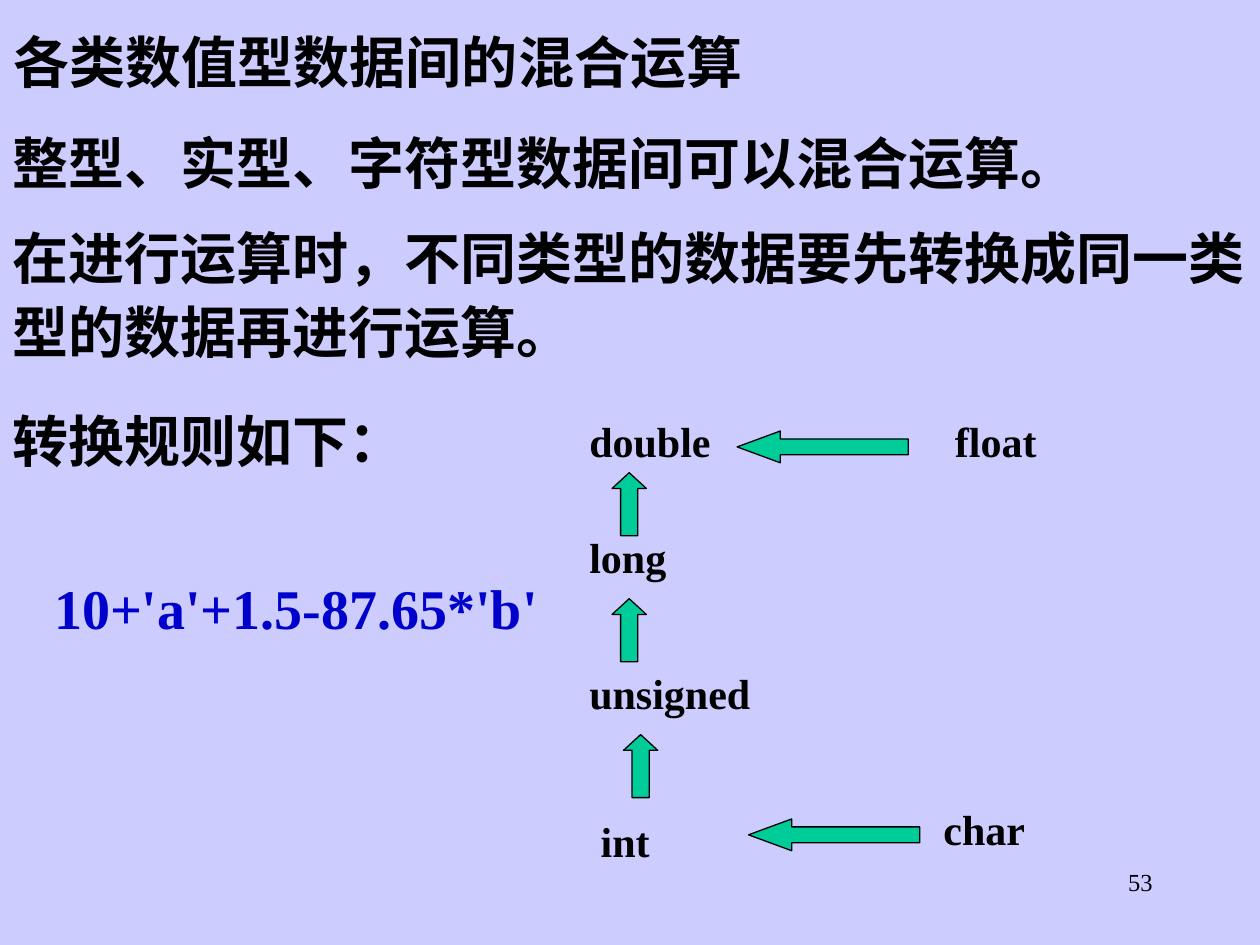
from pptx import Presentation
from pptx.dml.color import RGBColor as RGB
from pptx.enum.shapes import MSO_SHAPE as Geo
from pptx.enum.text import MSO_AUTO_SIZE as Fit, PP_ALIGN as Align
from pptx.util import Cm, Pt

HUES = {"back": "CCCCFF", "ink": "000000", "code": "0000CC", "arrow": "00CC99"}
WIDE, HIGH = 25.4, 19.05

# Formats: font values, and paragraph values
BODY = {"size": Pt(32), "bold": True}
TYPE = {"size": Pt(24), "bold": True}
PAGE = {"size": Pt(14), "bold": False}
LOOSE = {"line_spacing": 1.1}

# Type names: text, left, top, width
TYPES = [
    ("float", 19, 8.26, 3),
    ("double", 11.63, 8.26, 4.37),
    ("long", 11.63, 10.59, 5.28),
    ("unsigned", 11.63, 13.34, 3.91),
    ("int", 11.86, 16.31, 3.68),
    ("char", 18.77, 16.08, 5.99),
]

# Arrow kinds: shape, width, height, head length ratio, places
ARROWS = [
    (Geo.LEFT_ARROW, 3.45, 0.64, 1.36, [(14.86, 8.69), (15.09, 16.51)]),
    (Geo.UP_ARROW, 0.69, 1.27, 0.46,
     [(12.57, 14.81), (12.34, 9.53), (12.34, 12.07)]),
]


def hue(name):
    return RGB.from_string(HUES[name])


def apply(item, form):
    for key, val in form.items():
        setattr(item, key, val)


def add_text(shapes, lines, area, font, para=None, color="ink",
             fit=Fit.SHAPE_TO_FIT_TEXT):
    frame = shapes.add_textbox(*map(Cm, area)).text_frame
    apply(frame, {"word_wrap": True, "auto_size": fit})
    for n, line in enumerate(lines):
        par = frame.add_paragraph() if n else frame.paragraphs[0]
        apply(par, para or {})
        if n:
            par.space_before = Pt(20)
        run = par.add_run()
        run.text = line
        apply(run.font, {"name": "Times New Roman", **font})
        run.font.color.rgb = hue(color)


def add_arrow(shapes, geo, area, head):
    arrow = shapes.add_shape(geo, *map(Cm, area))
    arrow.shadow.inherit = False
    arrow.adjustments[0] = 0.5
    arrow.adjustments[1] = head
    arrow.fill.solid()
    arrow.fill.fore_color.rgb = hue("arrow")
    arrow.line.color.rgb = hue("ink")
    arrow.line.width = Pt(0.75)


def add_rules(slide):
    group = slide.shapes.add_group_shape().shapes
    for text, left, top, width in TYPES:
        add_text(group, [text], (left, top, width, 1.27), TYPE)
    for geo, width, height, head, spots in ARROWS:
        for left, top in spots:
            add_arrow(group, geo, (left, top, width, height), head)


def main():
    deck = Presentation()
    apply(deck, {"slide_width": Cm(WIDE), "slide_height": Cm(HIGH)})
    slide = deck.slides.add_slide(deck.slide_layouts[6])
    slide.background.fill.solid()
    slide.background.fill.fore_color.rgb = hue("back")
    shapes = slide.shapes

    # Page number
    add_text(shapes, ["53"], (18.21, 17.35, 5.28, 1.27), PAGE,
             {"alignment": Align.RIGHT}, fit=Fit.NONE)

    # Heading and first statement
    add_text(shapes, ["各类数值型数据间的混合运算"],
             (0.03, 0.43, 15.6, 1.63), BODY)
    add_text(shapes, ["整型、实型、字符型数据间可以混合运算。"],
             (0, 2.34, WIDE, 1.75), BODY, LOOSE)

    # Conversion diagram
    add_rules(slide)

    # Sample expression
    add_text(shapes, ["10+'a'+1.5-87.65*'b'"],
             (0.84, 11.43, 10.8, 1.63), BODY, color="code")

    # Conversion statement
    add_text(shapes, ["在进行运算时，不同类型的数据要先转换成同一类型的数据再进行运算。",
                      "转换规则如下："],
             (0, 4.24, WIDE, 5.44), BODY, LOOSE)

    deck.save("out.pptx")


if __name__ == "__main__":
    main()
